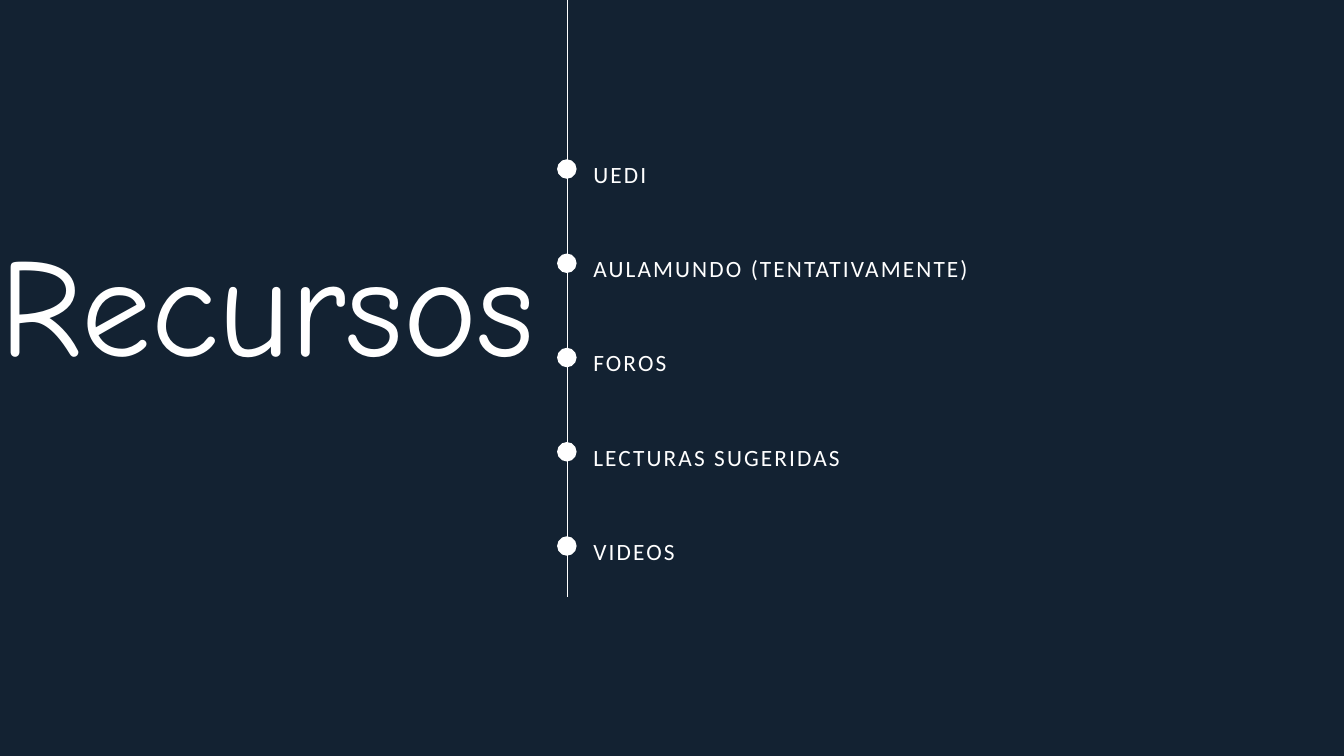
import pptx
import pptx.dml.color
import pptx.enum.shapes
import pptx.enum.text
import pptx.oxml
import pptx.util

Inches, Pt = pptx.util.Inches, pptx.util.Pt

# Content
HEADING = "Recursos"
RESOURCES = ["UEDI", "AULAMUNDO (TENTATIVAMENTE)", "FOROS",
             "LECTURAS SUGERIDAS", "VIDEOS"]

THEME = {
    "background": pptx.dml.color.RGBColor.from_string("132232"),
    "ink": pptx.dml.color.RGBColor.from_string("FFFFFF"),
    "heading": {"font": "Comic Neue", "size": 150, "leading": 207},
    "label": {"font": "Calibri", "size": 25, "leading": 36.2, "tracking": 2.3},
}

# Timeline geometry, in inches
AXIS_X, AXIS_END = 8.44, 8.88
DOT_LEFT, DOT = 8.29, 0.29
FIRST_DOT, LAST_DOT = 2.37, 7.98
FIRST_LABEL, LAST_LABEL = 2.29, 7.91


def spread(first, last):
    """Evenly spaced tops, one per resource."""
    step = (last - first) / (len(RESOURCES) - 1)
    return [first + index * step for index in range(len(RESOURCES))]


def add_text(slide, text, left, top, width, height, *, font, size, leading,
             tracking=0):
    box = slide.shapes.add_textbox(Inches(left), Inches(top),
                                   Inches(width), Inches(height))
    frame = box.text_frame
    frame.word_wrap = True
    frame.auto_size = pptx.enum.text.MSO_AUTO_SIZE.SHAPE_TO_FIT_TEXT
    frame.margin_left = frame.margin_right = 0
    frame.margin_top = frame.margin_bottom = 0
    paragraph = frame.paragraphs[0]
    paragraph.line_spacing = Pt(leading)
    run = paragraph.add_run()
    run.text = text
    run.font.name = font
    run.font.size = Pt(size)
    run.font.color.rgb = THEME["ink"]
    if tracking:
        run.font._element.set("spc", str(round(tracking * 100)))


def add_axis(slide):
    axis = slide.shapes.add_connector(
        pptx.enum.shapes.MSO_CONNECTOR.STRAIGHT,
        Inches(AXIS_X), Inches(AXIS_END), Inches(AXIS_X), 0)
    axis.line.color.rgb = THEME["ink"]
    axis.line.width = Pt(0.75)
    axis._element.spPr.append(pptx.oxml.parse_xml(
        '<a:effectLst xmlns:a='
        '"http://schemas.openxmlformats.org/drawingml/2006/main"/>'))


def add_dot(slide, top):
    dot = slide.shapes.add_shape(
        pptx.enum.shapes.MSO_SHAPE.OVAL,
        Inches(DOT_LEFT), Inches(top), Inches(DOT), Inches(DOT))
    dot.shadow.inherit = False
    dot.fill.solid()
    dot.fill.fore_color.rgb = THEME["ink"]
    dot.line.fill.background()


def main():
    deck = pptx.Presentation()
    deck.slide_width, deck.slide_height = Inches(20), Inches(11.25)
    slide = deck.slides.add_slide(deck.slide_layouts[6])
    slide.background.fill.solid()
    slide.background.fill.fore_color.rgb = THEME["background"]

    # Timeline with one dot and label per resource
    add_axis(slide)
    for top in spread(FIRST_DOT, LAST_DOT):
        add_dot(slide, top)
    for resource, top in zip(RESOURCES, spread(FIRST_LABEL, LAST_LABEL)):
        add_text(slide, resource, 8.83, top, 8.67, 0.49, **THEME["label"])

    # Heading
    add_text(slide, HEADING, -0.01, 2.84, 8.05, 2.78, **THEME["heading"])

    deck.save("out.pptx")


if __name__ == "__main__":
    main()
